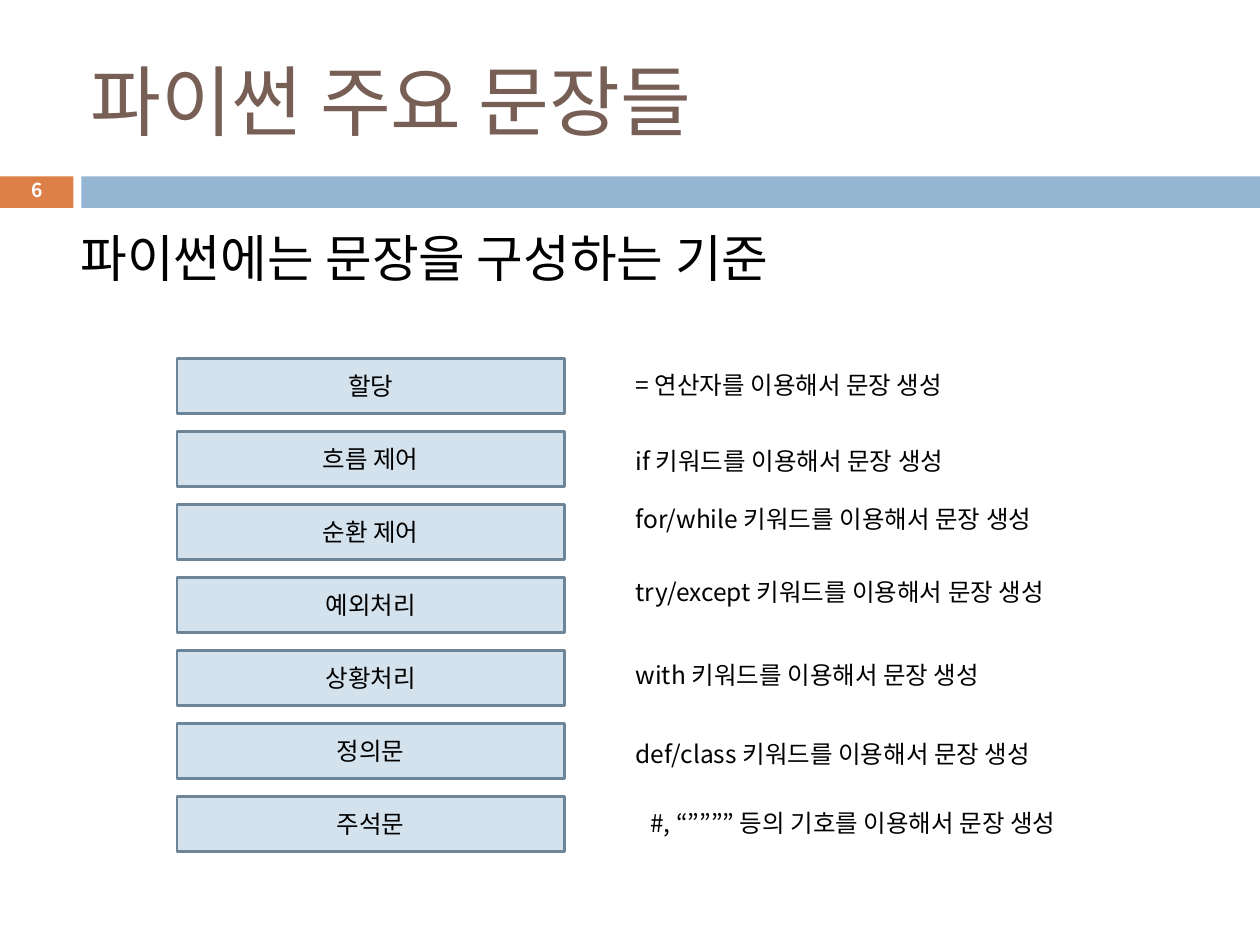
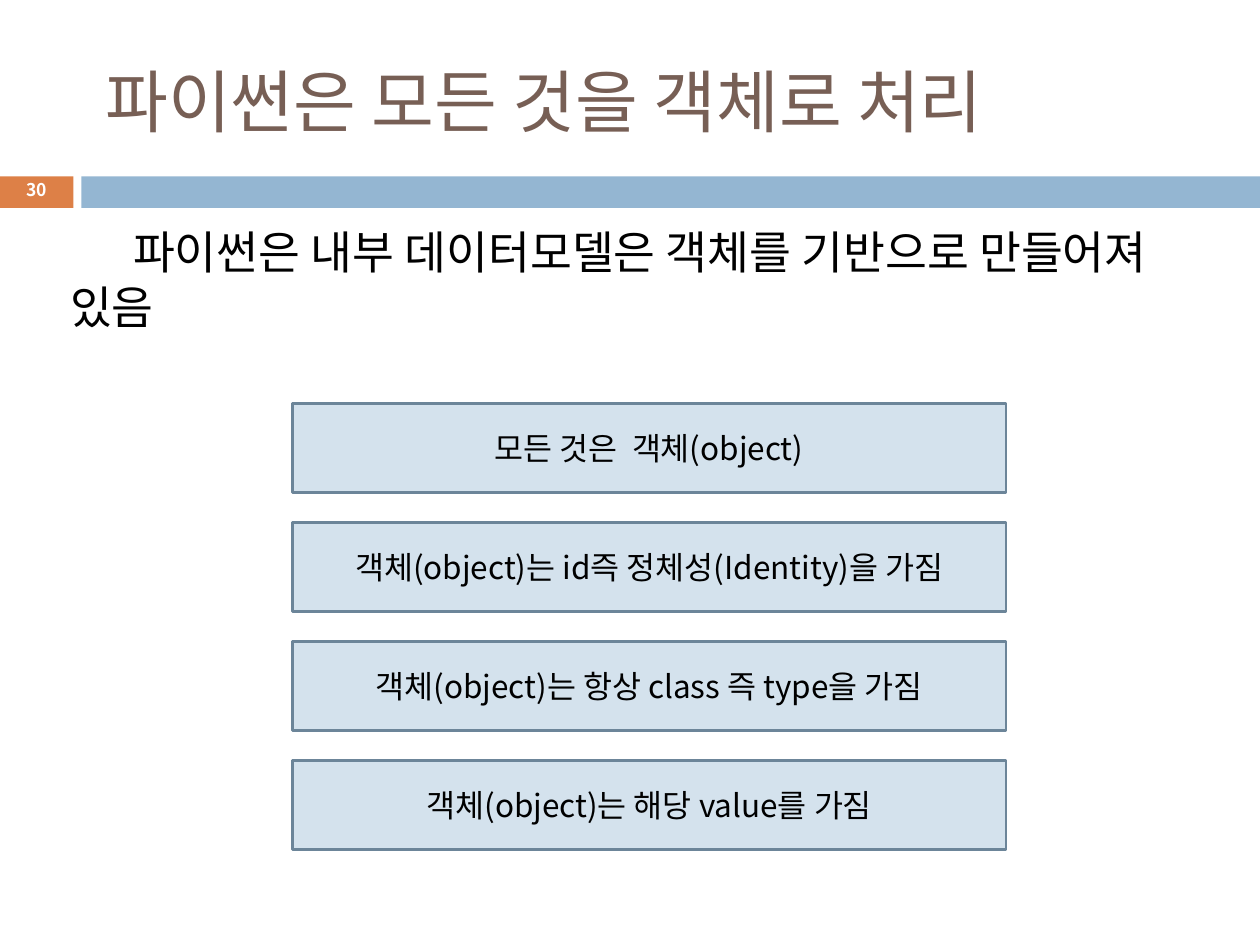
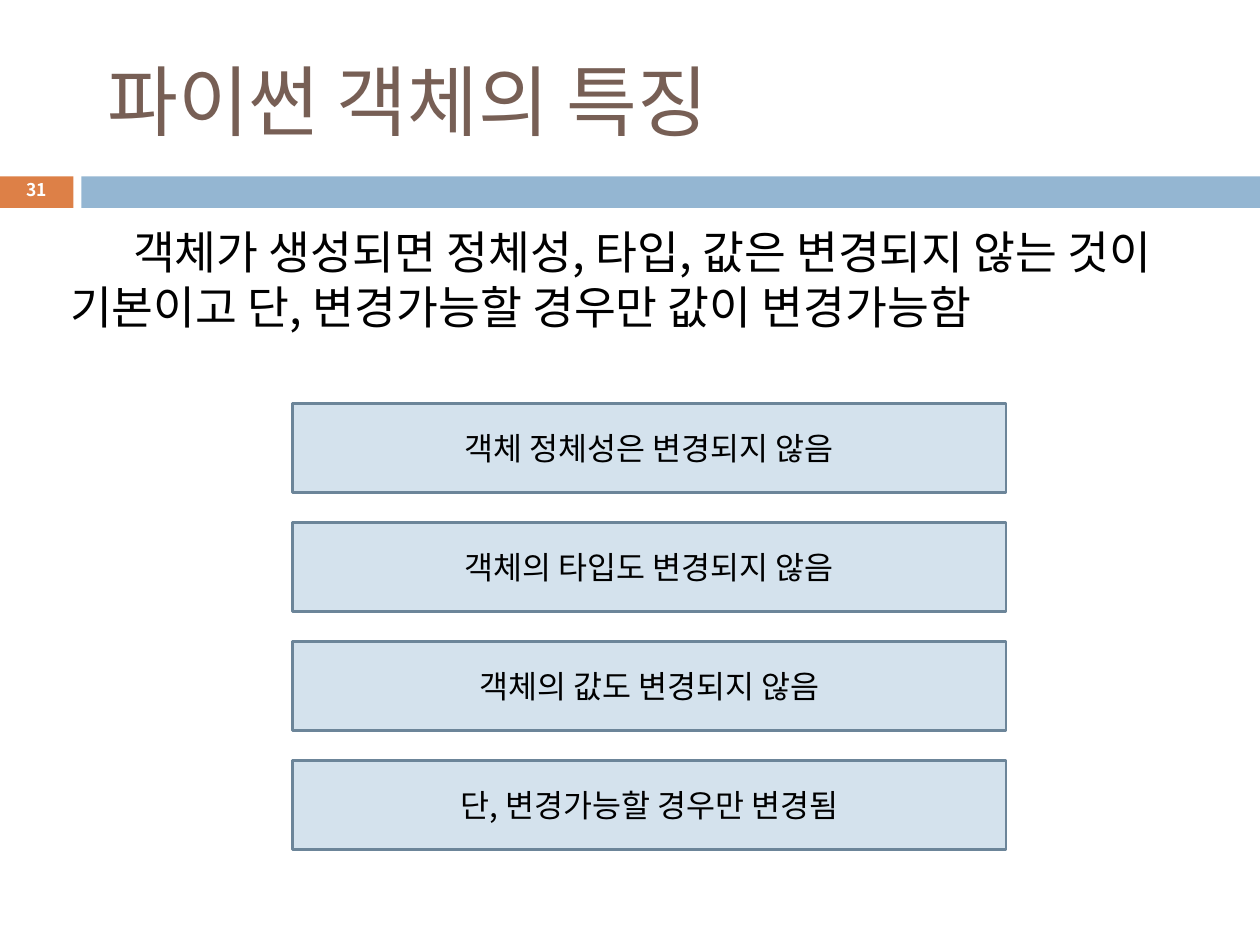
import dataclasses
import typing

import pptx
import pptx.dml.color
import pptx.enum.shapes
import pptx.enum.text
import pptx.util

Pt = pptx.util.Pt
ALIGN = pptx.enum.text.PP_ALIGN
ANCHOR = pptx.enum.text.MSO_ANCHOR

FONT = "Noto Sans CJK KR"
ORANGE, BLUE, BROWN = "DD8047", "94B6D2", "775F55"
PALE, EDGE, BLACK, WHITE = "D4E2ED", "6C8599", "000000", "FFFFFF"
INSET = 3.6
SPACE = 0.22  # width of a space, in ems


class Box(typing.NamedTuple):
    left: float
    top: float
    width: float
    height: float


@dataclasses.dataclass(frozen=True)
class Style:
    size: float
    color: str = BLACK
    bold: bool = False
    align: ALIGN = ALIGN.LEFT
    anchor: ANCHOR = ANCHOR.TOP
    dent: float = 0
    before: float = 0
    lines: float = 1
    wrap: bool = True


@dataclasses.dataclass(frozen=True)
class Stack:
    """A column of equal bars, one every step points."""
    first: Box
    step: float
    size: float


class Note(typing.NamedTuple):
    left: float
    top: float
    text: str


@dataclasses.dataclass(frozen=True)
class Page:
    number: str
    num_size: float
    title: str
    title_style: Style
    lead: str
    lead_box: Box
    lead_style: Style
    stack: Stack
    bars: tuple[str, ...]
    notes: tuple[Note, ...] = ()


def rgb(code: str) -> pptx.dml.color.RGBColor:
    return pptx.dml.color.RGBColor.from_string(code)


def place(shape, box: Box) -> None:
    shape.left, shape.top, shape.width, shape.height = map(Pt, box)


def write(shape, text: str, style: Style) -> None:
    frame = shape.text_frame
    frame.word_wrap = style.wrap
    frame.auto_size = pptx.enum.text.MSO_AUTO_SIZE.NONE
    frame.vertical_anchor = style.anchor
    frame.margin_left = frame.margin_right = Pt(INSET)
    frame.margin_top = frame.margin_bottom = Pt(INSET)
    para = frame.paragraphs[0]
    para.alignment = style.align
    para.space_before = Pt(style.before)
    para.line_spacing = style.lines
    props = para._p.get_or_add_pPr()
    props.set("marL", "0")
    props.set("indent", str(int(Pt(style.dent))))
    run = para.add_run()
    run.text = text
    font = run.font
    font.name, font.size, font.bold = FONT, Pt(style.size), style.bold
    font.color.rgb = rgb(style.color)
    face = font._element.makeelement(pptx.oxml.ns.qn("a:ea"), {"typeface": FONT})
    font._element.find(pptx.oxml.ns.qn("a:latin")).addnext(face)


def add_text(slide, box: Box, text: str, style: Style) -> None:
    write(slide.shapes.add_textbox(*map(Pt, box)), text, style)


def add_rect(slide, box: Box, fill: str, edge: str | None = None):
    kind = pptx.enum.shapes.MSO_SHAPE.RECTANGLE
    rect = slide.shapes.add_shape(kind, *map(Pt, box))
    rect.shadow.inherit = False
    rect.fill.solid()
    rect.fill.fore_color.rgb = rgb(fill)
    if edge:
        rect.line.color.rgb = rgb(edge)
        rect.line.width = Pt(1.5)
    else:
        rect.line.fill.background()
    return rect


def add_stack(slide, stack: Stack, labels: tuple[str, ...]) -> None:
    style = Style(stack.size, align=ALIGN.CENTER, anchor=ANCHOR.MIDDLE)
    for row, label in enumerate(labels):
        box = stack.first._replace(top=stack.first.top + row * stack.step)
        write(add_rect(slide, box, PALE, EDGE), label, style)


def add_page(deck, page: Page) -> None:
    slide = deck.slides.add_slide(deck.slide_layouts.get_by_name("Title Only"))
    add_rect(slide, Box(0, 100.8, 42, 18), ORANGE)
    add_rect(slide, Box(46.5, 100.8, 673.5, 18), BLUE)
    place(slide.shapes.title, Box(48, 18, 642, 78))
    write(slide.shapes.title, page.title, page.title_style)
    add_text(slide, page.lead_box, page.lead, page.lead_style)
    add_text(slide, Box(10.5, 99, 21, 21), page.number,
             Style(page.num_size, WHITE, True, ALIGN.CENTER, ANCHOR.MIDDLE,
                   lines=0.8, wrap=False))
    add_stack(slide, page.stack, page.bars)
    for note in page.notes:
        add_text(slide, Box(note.left, note.top, 278, 24.5), note.text, Style(14))


def head(size: float, spaces: int = 1) -> Style:
    return Style(size, BROWN, anchor=ANCHOR.MIDDLE, dent=spaces * SPACE * size)


NOTE_X = 356.5 + SPACE * 14
OBJECT = dict(
    num_size=10,
    lead_box=Box(36.5, 124.5, 648, 111.5),
    lead_style=Style(26, dent=36, before=5),
    stack=Stack(Box(167, 230.4, 408, 51), 68, 18),
)

PAGES = (
    Page(
        number="6", num_size=11,
        title="파이썬 주요 문장들", title_style=head(44, 0),
        lead="파이썬에는 문장을 구성하는 기준",
        lead_box=Box(36, 126, 648, 93),
        lead_style=Style(29, dent=SPACE * 29, before=7),
        stack=Stack(Box(101.2, 204.8, 221.3, 31.5), 41.7, 14),
        bars=("할당", "흐름 제어", "순환 제어", "예외처리", "상황처리", "정의문",
              "주석문"),
        notes=(
            Note(NOTE_X, 208, "= 연산자를 이용해서 문장 생성"),
            Note(NOTE_X, 251.3, "if 키워드를 이용해서 문장 생성"),
            Note(NOTE_X, 284.4, "for/while 키워드를 이용해서 문장 생성"),
            Note(NOTE_X, 326.2, "try/except 키워드를 이용해서 문장 생성"),
            Note(NOTE_X, 373.7, "with 키워드를 이용해서 문장 생성"),
            Note(NOTE_X, 419, "def/class 키워드를 이용해서 문장 생성"),
            Note(368, 458, "#, “”””” 등의 기호를 이용해서 문장 생성"),
        ),
    ),
    Page(
        number="30",
        title="파이썬은 모든 것을 객체로 처리", title_style=head(39),
        lead="파이썬은 내부 데이터모델은 객체를 기반으로 만들어져 있음",
        bars=("모든 것은  객체(object)",
              "객체(object)는 id즉 정체성(Identity)을 가짐",
              "객체(object)는 항상 class 즉 type을 가짐",
              "객체(object)는 해당 value를 가짐"),
        **OBJECT,
    ),
    Page(
        number="31",
        title="파이썬 객체의 특징", title_style=head(44),
        lead="객체가 생성되면 정체성, 타입, 값은 변경되지 않는 것이 기본이고 단, "
             "변경가능할 경우만 값이 변경가능함",
        bars=("객체 정체성은 변경되지 않음", "객체의 타입도 변경되지 않음",
              "객체의 값도 변경되지 않음", "단, 변경가능할 경우만 변경됨"),
        **OBJECT,
    ),
)


def main() -> None:
    deck = pptx.Presentation()
    deck.slide_width, deck.slide_height = Pt(720), Pt(540)
    for page in PAGES:
        add_page(deck, page)
    deck.save("out.pptx")


if __name__ == "__main__":
    main()
